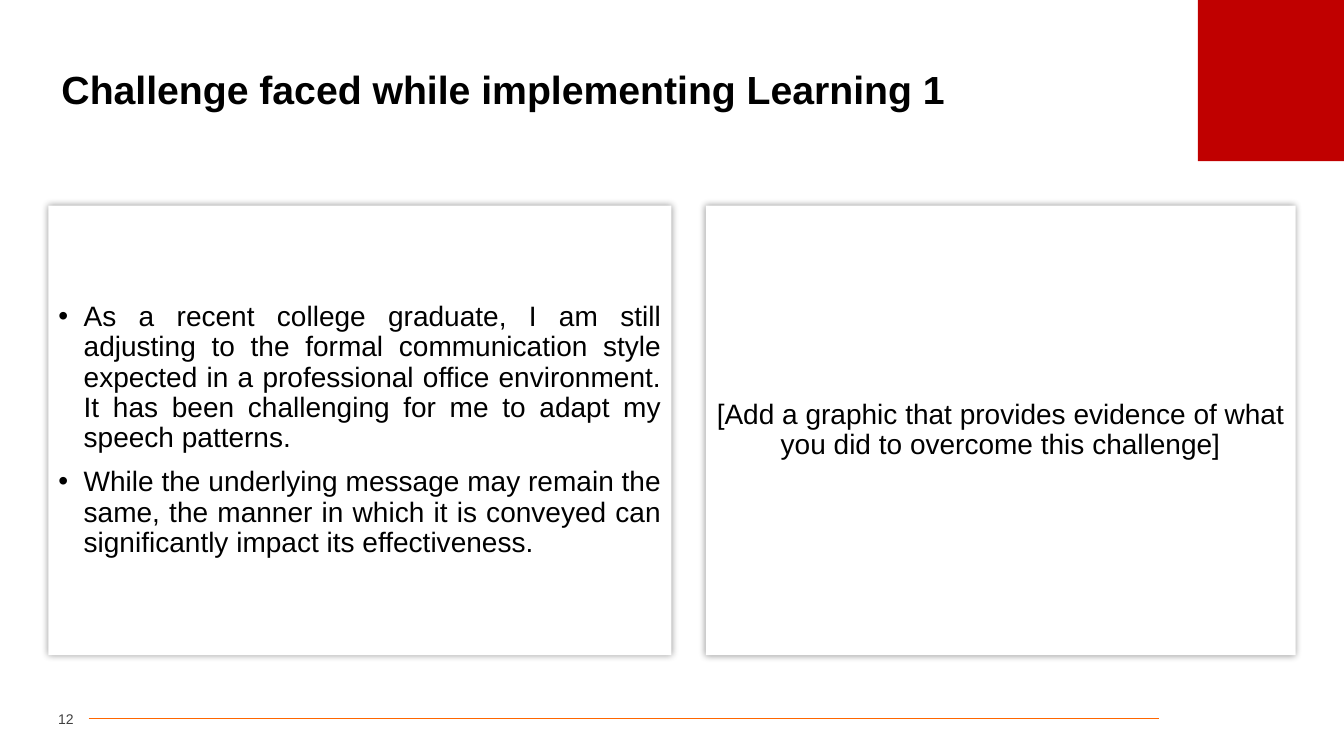
import pptx
import pptx.util
import pptx.dml.color
import pptx.enum.shapes
import pptx.enum.text
import pptx.oxml
import pptx.oxml.ns

PX = 9144  # EMU per px, 100 px to the inch
FONT = "Arial"
COLORS = {
    "text": "000000",
    "number": "404040",
    "panel": "FFFFFF",
    "corner": "C00000",
    "rule": "FF6600",
    "shadow": "000000",
}
ALIGN = pptx.enum.text.PP_ALIGN
PANEL_TOP, PANEL_HEIGHT = 204, 446

CHALLENGES = [
    "As a recent college graduate, I am still adjusting to the formal communication "
    "style expected in a professional office environment. It has been challenging "
    "for me to adapt my speech patterns.",
    "While the underlying message may remain the same, the manner in which it is "
    "conveyed can significantly impact its effectiveness.",
]
EVIDENCE = ["[Add a graphic that provides evidence of what you did to overcome this challenge]"]


def color(name):
    return pptx.dml.color.RGBColor.from_string(COLORS[name])


def px(*lengths):
    return [pptx.util.Emu(length * PX) for length in lengths]


def xml(tag, content="", **attributes):
    listed = "".join(f' {key}="{value}"' for key, value in attributes.items())
    namespace = pptx.oxml.ns.nsdecls("a")
    return pptx.oxml.parse_xml(f"<a:{tag} {namespace}{listed}>{content}</a:{tag}>")


def place(box, left, top, width, height):
    box.left, box.top, box.width, box.height = px(left, top, width, height)


def write(box, texts, size=20, ink="text", bold=False, align=ALIGN.LEFT,
          line_spacing=None, space_before=0, bullet=None, indent=0):
    """Fill a box with one formatted paragraph per text."""
    frame = box.text_frame
    frame.word_wrap = True
    frame.auto_size = pptx.enum.text.MSO_AUTO_SIZE.NONE
    frame.vertical_anchor = pptx.enum.text.MSO_ANCHOR.MIDDLE
    for index, text in enumerate(texts):
        para = frame.add_paragraph() if index else frame.paragraphs[0]
        para.alignment = align
        para.line_spacing = line_spacing
        para.space_before = pptx.util.Pt(space_before)
        span = para.add_run()
        span.text = text
        span.font.name = FONT
        span.font.size = pptx.util.Pt(size)
        span.font.bold = bold
        span.font.color.rgb = color(ink)
        # Bullet and hanging indent
        properties = para._p.get_or_add_pPr()
        properties.set("marL", str(indent * PX))
        properties.set("indent", str(-indent * PX))
        properties.append(xml("buChar", char=bullet) if bullet else xml("buNone"))


def add_panel(box, left, width, texts, **text_format):
    """Turn a body placeholder into a white panel with a soft shadow."""
    place(box, left, PANEL_TOP, width, PANEL_HEIGHT)
    box.fill.solid()
    box.fill.fore_color.rgb = color("panel")
    box.line.fill.background()
    glow = (f'<a:outerShdw blurRad="{pptx.util.Pt(5)}" dist="0" dir="0" algn="ctr" '
            f'rotWithShape="0"><a:srgbClr val="{COLORS["shadow"]}">'
            f'<a:alpha val="40000"/></a:srgbClr></a:outerShdw>')
    box._element.spPr.append(xml("effectLst", glow))
    write(box, texts, line_spacing=0.9, space_before=10, **text_format)


def add_corner(page):
    box = page.shapes.add_shape(pptx.enum.shapes.MSO_SHAPE.RECTANGLE, *px(1188, 0, 146, 160))
    box.shadow.inherit = False
    box.fill.solid()
    box.fill.fore_color.rgb = color("corner")
    box.line.fill.background()


def add_footer(page, number):
    rule = page.shapes.add_connector(
        pptx.enum.shapes.MSO_CONNECTOR.STRAIGHT, *px(88, 713, 1150, 713))
    rule.line.color.rgb = color("rule")
    rule.line.width = pptx.util.Pt(0.5)
    rule._element.spPr.append(xml("effectLst"))
    box = page.shapes.add_textbox(*px(33, 699, 40, 29))
    box.text_frame.margin_left = box.text_frame.margin_right = 0
    write(box, [number], size=10, ink="number", align=ALIGN.RIGHT)


def main():
    deck = pptx.Presentation()
    deck.slide_width, deck.slide_height = px(1333, 750)
    page = deck.slides.add_slide(deck.slide_layouts.get_by_name("Two Content"))
    title, challenge, evidence = page.placeholders

    # Title and decoration
    place(title, 51, 52, 1231, 78)
    write(title, ["Challenge faced while implementing Learning 1"],
          size=28, bold=True, line_spacing=0.9)
    add_corner(page)

    # Panels
    add_panel(challenge, 48, 618, CHALLENGES, align=ALIGN.JUSTIFY, bullet="•", indent=25)
    add_panel(evidence, 700, 585, EVIDENCE, align=ALIGN.CENTER)

    # Footer
    add_footer(page, "12")
    deck.save("out.pptx")


if __name__ == "__main__":
    main()
